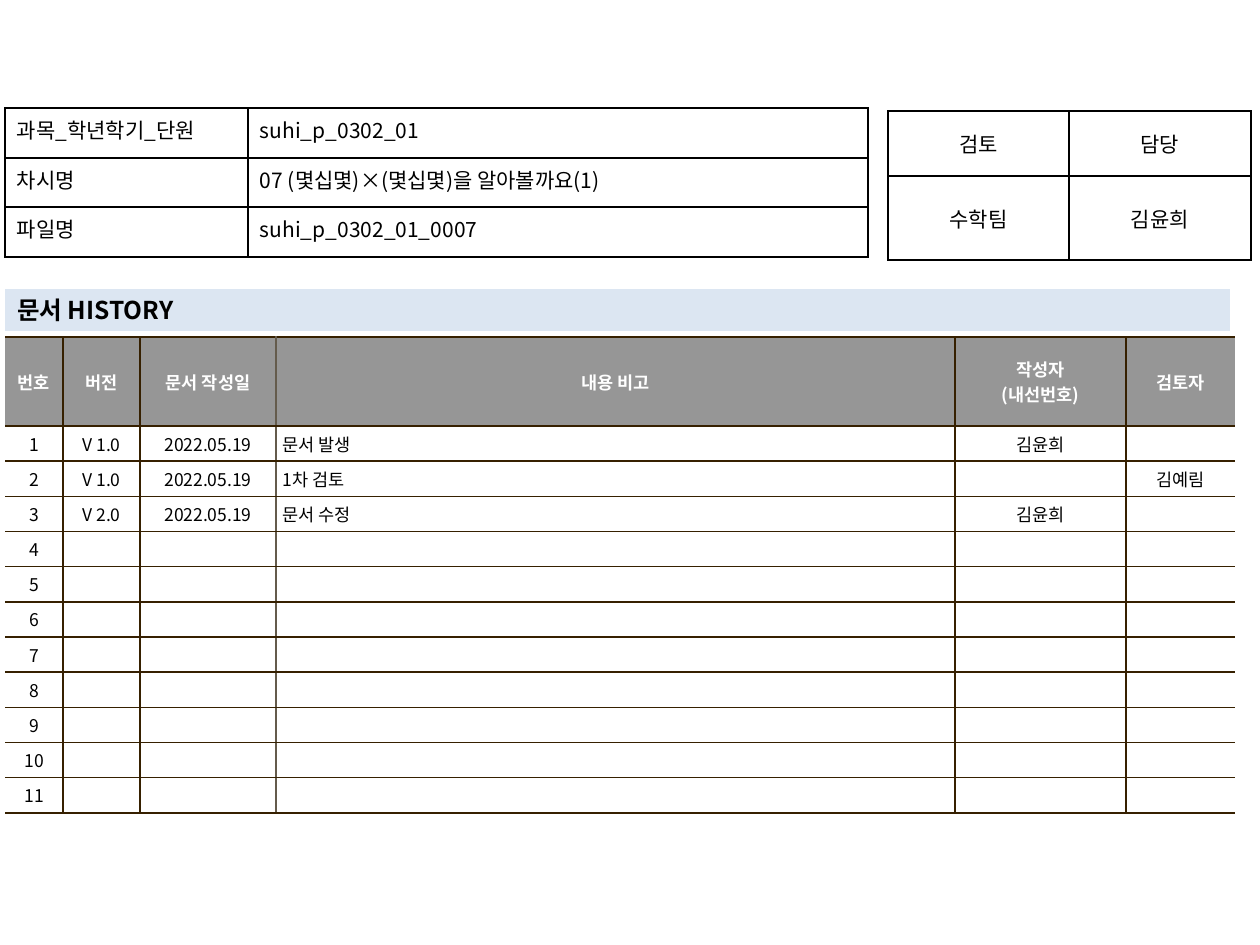
from dataclasses import dataclass

import pptx
import pptx.dml.color
import pptx.enum.text
import pptx.oxml.ns
import pptx.util
from lxml import etree

PX = 914400 // 126
ALIGN = pptx.enum.text.PP_ALIGN
ANCHOR = pptx.enum.text.MSO_ANCHOR


@dataclass(frozen=True)
class Theme:
    font: str = "Noto Sans CJK KR"
    ink: str = "000000"
    paper: str = "FFFFFF"
    band: str = "DCE6F2"
    header: str = "969696"
    rule: str = "362000"
    soft_rule: str = "645B4C"
    heading_pt: int = 14
    form_pt: int = 12
    log_pt: int = 10


THEME = Theme()


def px(length):
    return pptx.util.Emu(length * PX)


def rgb(value):
    return pptx.dml.color.RGBColor.from_string(value)


def add_run(paragraph, text, size, color=THEME.ink, bold=False):
    run = paragraph.add_run()
    run.text = text
    run.font.name = THEME.font
    run.font.size = pptx.util.Pt(size)
    run.font.bold = bold
    run.font.color.rgb = rgb(color)
    east_asian = etree.SubElement(run._r.get_or_add_rPr(), pptx.oxml.ns.qn("a:ea"))
    east_asian.set("typeface", THEME.font)


def set_borders(cell, **colors):
    """Draw 1 pt borders; the sides are L, R, T and B, and None hides one."""
    properties = cell._tc.get_or_add_tcPr()
    for side in "LRTB":
        line = etree.SubElement(properties, pptx.oxml.ns.qn(f"a:ln{side}"), w="12700")
        if colors[side] is None:
            etree.SubElement(line, pptx.oxml.ns.qn("a:noFill"))
        else:
            fill = etree.SubElement(line, pptx.oxml.ns.qn("a:solidFill"))
            etree.SubElement(fill, pptx.oxml.ns.qn("a:srgbClr"), val=colors[side])


def write_cell(cell, text, size, align, anchor, margins, fill=THEME.paper,
               color=THEME.ink, bold=False):
    cell.fill.solid()
    cell.fill.fore_color.rgb = rgb(fill)
    cell.vertical_anchor = anchor
    cell.margin_left = cell.margin_right = px(margins[0])
    cell.margin_top = cell.margin_bottom = px(margins[1])
    for index, line in enumerate(text.split("\n")):
        frame = cell.text_frame
        paragraph = frame.add_paragraph() if index else frame.paragraphs[0]
        paragraph.alignment = align
        if line:
            add_run(paragraph, line, size, color, bold)
        else:
            # An empty cell needs its own size, or its row grows.
            paragraph._p.get_or_add_endParaRPr().set("sz", str(size * 100))


def add_grid(slide, left, top, columns, rows):
    table = slide.shapes.add_table(
        len(rows), len(columns), px(left), px(top), px(sum(columns)), px(sum(rows))
    ).table
    table.first_row = table.horz_banding = False
    for column, width in zip(table.columns, columns):
        column.width = px(width)
    for row, height in zip(table.rows, rows):
        row.height = px(height)
    return table


def add_form(slide, left, top, columns, rows, entries, aligns, anchor):
    """Add a black-ruled table with one alignment per column."""
    form = add_grid(slide, left, top, columns, rows)
    for r, entry in enumerate(entries):
        for c, text in enumerate(entry):
            cell = form.cell(r, c)
            set_borders(cell, **dict.fromkeys("LRTB", THEME.ink))
            write_cell(cell, text, THEME.form_pt, aligns[c], anchor, (12, 6))


def add_heading(slide, left, top, width, height):
    heading = slide.shapes.title
    heading.left, heading.top = px(left), px(top)
    heading.width, heading.height = px(width), px(height)
    heading.fill.solid()
    heading.fill.fore_color.rgb = rgb(THEME.band)
    frame = heading.text_frame
    frame.word_wrap = True
    frame.auto_size = pptx.enum.text.MSO_AUTO_SIZE.NONE
    frame.vertical_anchor = ANCHOR.MIDDLE
    frame.margin_left = frame.margin_right = px(12)
    frame.margin_top = frame.margin_bottom = 0
    frame.paragraphs[0].alignment = ALIGN.LEFT
    add_run(frame.paragraphs[0], "문서 HISTORY", THEME.heading_pt, bold=True)


def add_history(slide, left, top, columns, header_height, row_height, row_count):
    headers = ["번호", "버전", "문서 작성일", "내용 비고", "작성자\n(내선번호)", "검토자"]
    revisions = [
        ["V 1.0", "2022.05.19", "문서 발생", "김윤희", ""],
        ["V 1.0", "2022.05.19", "1차 검토", "", "김예림"],
        ["V 2.0", "2022.05.19", "문서 수정", "김윤희", ""],
    ]
    blank = [[""] * 5] * (row_count - len(revisions))
    numbered = [[str(n), *entry] for n, entry in enumerate(revisions + blank, 1)]
    history = add_grid(slide, left, top, columns,
                       [header_height] + [row_height] * row_count)
    note = headers.index("내용 비고")
    verticals = [None] + [THEME.rule] * (len(columns) - 1) + [None]
    verticals[note] = THEME.soft_rule
    for r, entry in enumerate([headers] + numbered):
        look = {} if r else dict(fill=THEME.header, color=THEME.paper, bold=True)
        for c, text in enumerate(entry):
            cell = history.cell(r, c)
            align = ALIGN.LEFT if r and c == note else ALIGN.CENTER
            set_borders(cell, L=verticals[c], R=verticals[c + 1],
                        T=THEME.rule, B=THEME.rule)
            write_cell(cell, text, THEME.log_pt, align, ANCHOR.MIDDLE, (7, 5), **look)


def main():
    deck = pptx.Presentation()
    deck.slide_width, deck.slide_height = pptx.util.Inches(10), pptx.util.Inches(7.5)
    slide = deck.slides.add_slide(deck.slide_layouts[5])
    add_history(slide, 5, 337, [58, 77, 136, 679, 171, 109], 89, 35, 11)
    add_form(slide, 888, 111, [181, 182], [65, 84],
             [["검토", "담당"], ["수학팀", "김윤희"]],
             [ALIGN.CENTER, ALIGN.CENTER], ANCHOR.MIDDLE)
    add_heading(slide, 5, 289, 1225, 42)
    add_form(slide, 5, 108, [243, 620], [50, 49, 50],
             [["과목_학년학기_단원", "suhi_p_0302_01"],
              ["차시명", "07 (몇십몇)×(몇십몇)을 알아볼까요(1)"],
              ["파일명", "suhi_p_0302_01_0007"]],
             [ALIGN.JUSTIFY, ALIGN.LEFT], ANCHOR.TOP)
    deck.save("out.pptx")


if __name__ == "__main__":
    main()
